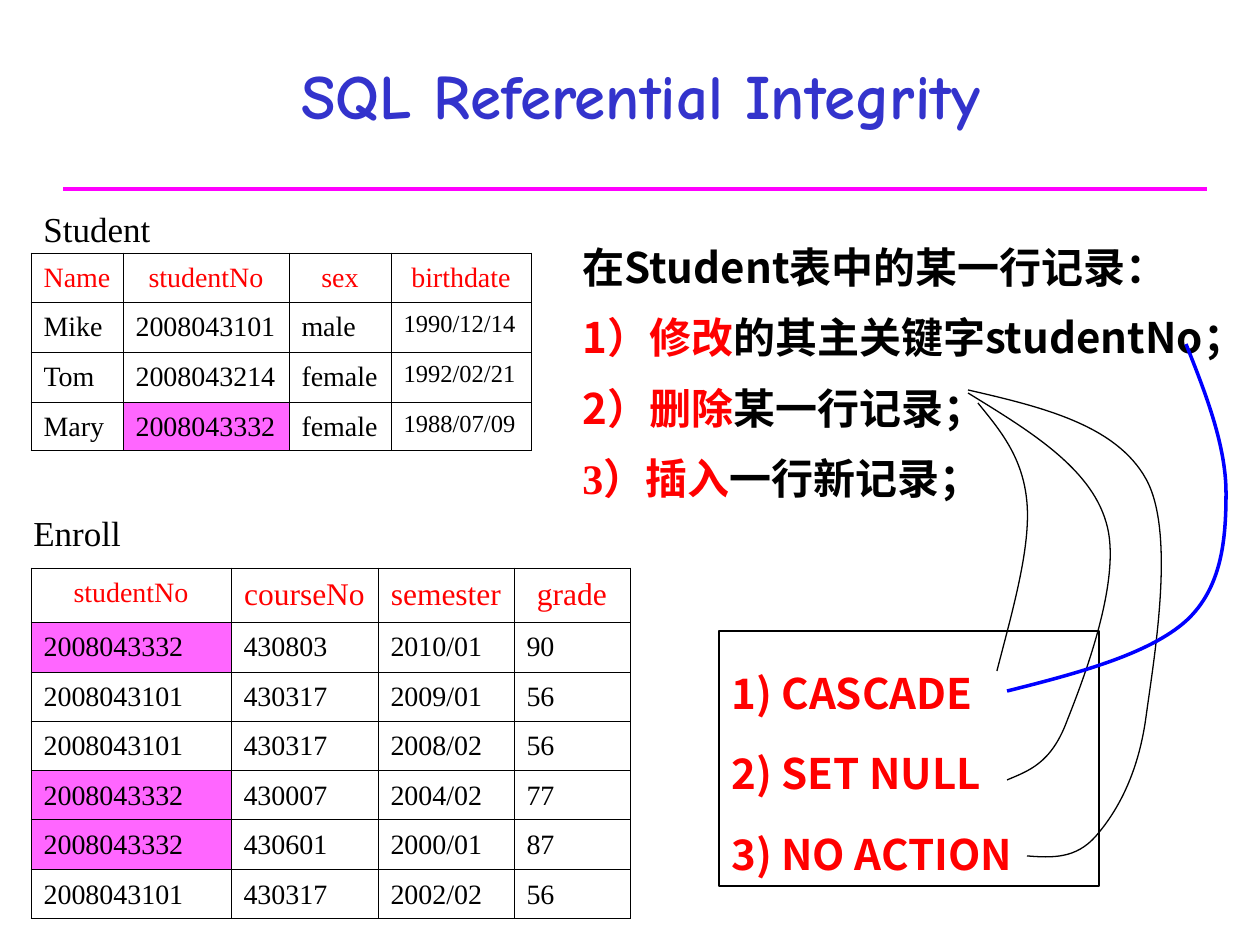
from dataclasses import dataclass

from lxml.etree import SubElement
from pptx import Presentation
from pptx.dml.color import RGBColor
from pptx.enum.shapes import MSO_CONNECTOR, MSO_SHAPE
from pptx.enum.text import MSO_ANCHOR, MSO_AUTO_SIZE, PP_ALIGN
from pptx.oxml.ns import qn
from pptx.util import Emu, Pt

PX = 914400 / 126


@dataclass(frozen=True)
class Theme:
    black: str = "000000"
    red: str = "FF0000"
    blue: str = "0000FF"
    title_blue: str = "3333CC"
    rule: str = "FF00FF"
    highlight: str = "FF66FF"
    title_font: str = "Comic Neue"
    body_font: str = "Noto Sans CJK SC"
    table_font: str = "Times New Roman"
    title_size: int = 36
    body_size: int = 24
    caption_size: int = 20
    large_cell_size: int = 18
    cell_size: int = 16
    small_cell_size: int = 14
    thick: float = 2
    thin: float = 0.75
    border: float = 0.45


theme = Theme()


def px(*lengths):
    return [Emu(round(length * PX)) for length in lengths]


def write_text(frame, *paragraphs, size, font, color=theme.black, bold=False,
               align=PP_ALIGN.LEFT, spacing=1.0, anchor=MSO_ANCHOR.TOP, wrap=True):
    """Fill a frame; a paragraph is a string or a list of (text, color, font) runs."""
    frame.word_wrap = wrap
    frame.auto_size = MSO_AUTO_SIZE.NONE
    frame.vertical_anchor = anchor
    for index, content in enumerate(paragraphs):
        paragraph = frame.add_paragraph() if index else frame.paragraphs[0]
        paragraph.alignment = align
        paragraph.line_spacing = spacing
        runs = [(content, color, font)] if isinstance(content, str) else content
        for text, run_color, run_font in runs:
            run = paragraph.add_run()
            run.text = text
            run.font.size = Pt(size)
            run.font.bold = bold
            run.font.name = run_font
            run.font.color.rgb = RGBColor.from_string(run_color)
            east_asian = SubElement(run.font._element, qn("a:ea"))
            east_asian.set("typeface", theme.body_font)


presentation = Presentation()
presentation.slide_width, presentation.slide_height = px(1260, 945)
slide = presentation.slides.add_slide(presentation.slide_layouts[5])
shapes = slide.shapes

# Title and rule
title = shapes.title
title.left, title.top, title.width, title.height = px(105, 31, 1071, 126)
write_text(title.text_frame, "SQL Referential Integrity", size=theme.title_size,
           font=theme.title_font, color=theme.title_blue, bold=True,
           align=PP_ALIGN.CENTER, anchor=MSO_ANCHOR.MIDDLE)

rule = shapes.add_connector(MSO_CONNECTOR.STRAIGHT, *px(63, 189, 1207, 189))
rule.line.color.rgb = RGBColor.from_string(theme.rule)
rule.line.width = Pt(theme.thick)
SubElement(rule._element.spPr, qn("a:effectLst"))

# Table captions
for caption, box, wrap in [("Student", (31, 201, 231, 55), True),
                           ("Enroll", (21, 505, 112, 55), False)]:
    caption_box = shapes.add_textbox(*px(*box))
    write_text(caption_box.text_frame, caption, size=theme.caption_size,
               font=theme.table_font, anchor=MSO_ANCHOR.MIDDLE, wrap=wrap)

# Tables: position, column widths, row heights, rows
student_rows = [
    ["Name", "studentNo", "sex", "birthdate"],
    ["Mike", "2008043101", "male", "1990/12/14"],
    ["Tom", "2008043214", "female", "1992/02/21"],
    ["Mary", "2008043332", "female", "1988/07/09"],
]
enroll_rows = [
    ["studentNo", "courseNo", "semester", "grade"],
    ["2008043332", "430803", "2010/01", "90"],
    ["2008043101", "430317", "2009/01", "56"],
    ["2008043101", "430317", "2008/02", "56"],
    ["2008043332", "430007", "2004/02", "77"],
    ["2008043332", "430601", "2000/01", "87"],
    ["2008043101", "430317", "2002/02", "56"],
]
large_headers = {"courseNo", "semester", "grade"}
highlighted_student = "2008043332"

for top, widths, heights, rows in [
    (253, [92, 166, 102, 140], [49, 50, 50, 49], student_rows),
    (568, [200, 147, 136, 116], [54] + [50, 49] * 3, enroll_rows),
]:
    table = shapes.add_table(len(rows), len(widths),
                             *px(31, top, sum(widths), sum(heights))).table
    table.first_row = False
    table.horz_banding = False
    for column, width in zip(table.columns, px(*widths)):
        column.width = width
    for row, height in zip(table.rows, px(*heights)):
        row.height = height
    for row_index, values in enumerate(rows):
        is_header = row_index == 0
        for column_index, value in enumerate(values):
            cell = table.cell(row_index, column_index)
            if value in large_headers:
                size = theme.large_cell_size
            elif rows[0][column_index] == "birthdate" and not is_header:
                size = theme.small_cell_size
            else:
                size = theme.cell_size
            write_text(cell.text_frame, value, size=size, font=theme.table_font,
                       color=theme.red if is_header else theme.black, spacing=1.1,
                       align=PP_ALIGN.CENTER if is_header else PP_ALIGN.LEFT)
            properties = cell._tc.get_or_add_tcPr()
            for side in ("a:lnL", "a:lnR", "a:lnT", "a:lnB"):
                border = SubElement(properties, qn(side), w=str(Pt(theme.border)))
                fill = SubElement(border, qn("a:solidFill"))
                SubElement(fill, qn("a:srgbClr"), val=theme.black)
            if value == highlighted_student:
                cell.fill.solid()
                cell.fill.fore_color.rgb = RGBColor.from_string(theme.highlight)
            else:
                cell.fill.background()

# Operations on a Student row
operations = [
    ("1）修改", "的其主关键字studentNo；", theme.body_font),
    ("2）删除", "某一行记录；", theme.body_font),
    ("3）插入", "一行新记录；", theme.table_font),
]
operation_box = shapes.add_textbox(*px(570, 215, 689, 295))
write_text(operation_box.text_frame, "在Student表中的某一行记录：",
           *[[(action, theme.red, font), (rest, theme.black, theme.body_font)]
             for action, rest, font in operations],
           size=theme.body_size, font=theme.body_font, bold=True, spacing=1.4)

# Referential actions
action_box = shapes.add_shape(MSO_SHAPE.RECTANGLE, *px(719, 631, 380, 255))
action_box.shadow.inherit = False
action_box.fill.background()
action_box.line.color.rgb = RGBColor.from_string(theme.black)
action_box.line.width = Pt(theme.thin)
write_text(action_box.text_frame, "1) CASCADE", "2) SET NULL", "3) NO ACTION",
           size=theme.body_size, font=theme.body_font, color=theme.red,
           bold=True, spacing=1.6)

# Curves from operations to actions: a start, then three Bézier points per segment
curves = [
    (theme.black, theme.thin,
     [(978, 403), (1000, 430), (1023, 457), (1027, 502),
      (1031, 547), (1013, 609), (997, 671)]),
    (theme.black, theme.thin,
     [(968, 393), (1028, 430), (1090, 467), (1106, 522),
      (1123, 577), (1084, 678), (1067, 721),
      (1051, 764), (1028, 771), (1007, 780)]),
    (theme.black, theme.thin,
     [(968, 390), (1042, 407), (1116, 425), (1146, 479),
      (1176, 533), (1154, 658), (1146, 717),
      (1138, 776), (1116, 813), (1096, 836),
      (1076, 859), (1052, 858), (1027, 856)]),
    (theme.blue, theme.thick,
     [(1186, 344), (1206, 394), (1226, 446), (1226, 493),
      (1226, 539), (1222, 588), (1186, 621),
      (1149, 654), (1079, 673), (1007, 691)]),
]
for color, width, points in curves:
    builder = shapes.build_freeform(*points[0], scale=PX)
    builder.add_line_segments(points[1:], close=False)
    curve = builder.convert_to_shape()
    curve.shadow.inherit = False
    curve.fill.background()
    curve.line.color.rgb = RGBColor.from_string(color)
    curve.line.width = Pt(width)
    outline = next(curve._element.iter(qn("a:path")))
    segments = outline.findall(qn("a:lnTo"))
    for start in range(0, len(segments), 3):
        bezier = SubElement(outline, qn("a:cubicBezTo"))
        for segment in segments[start:start + 3]:
            bezier.append(segment[0])
            outline.remove(segment)

presentation.save("out.pptx")
